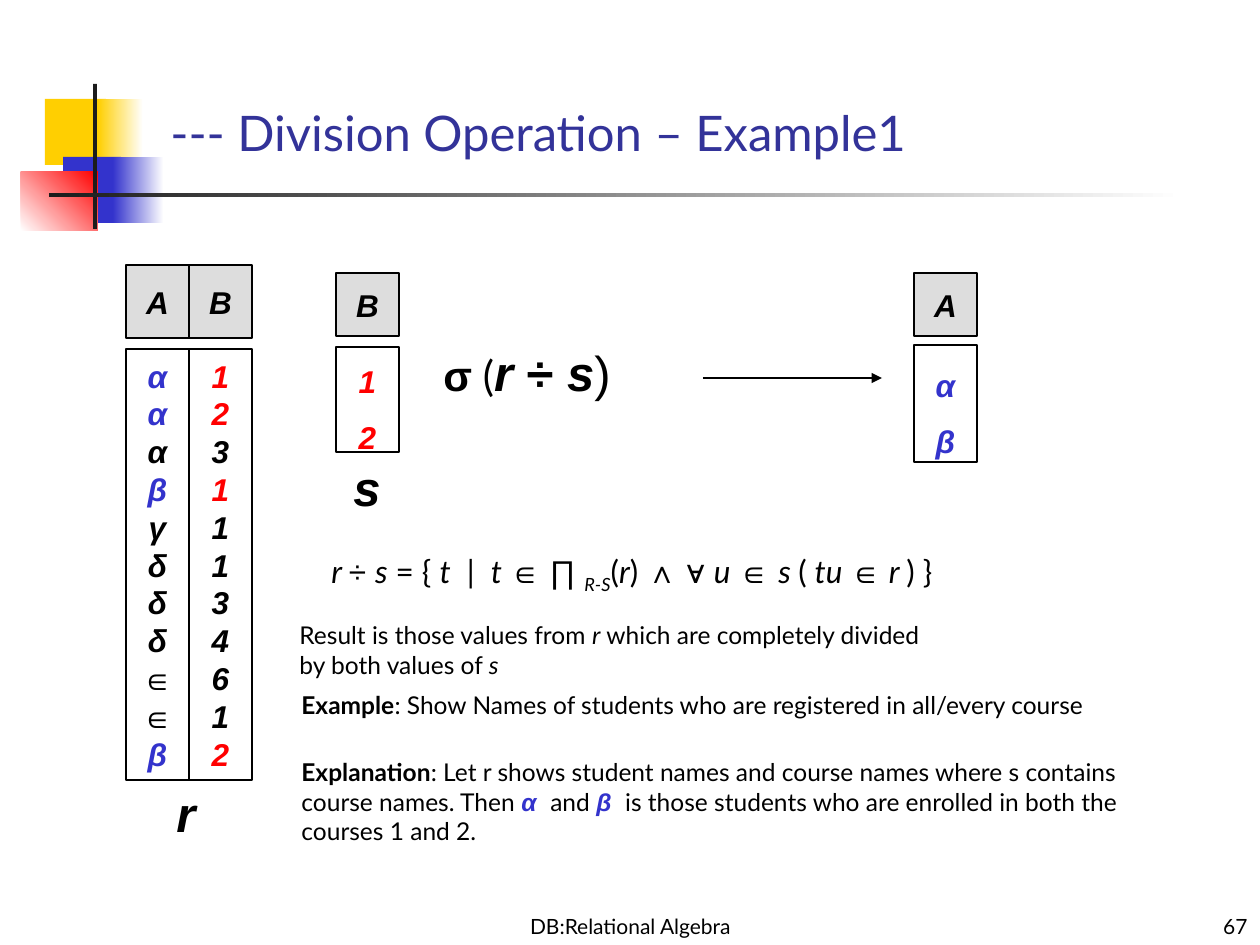
import pptx
import pptx.util
import pptx.dml.color
import pptx.enum.shapes
import pptx.enum.text
import pptx.oxml.ns
import lxml.etree

RGBColor = pptx.dml.color.RGBColor
PP_ALIGN = pptx.enum.text.PP_ALIGN
MSO_ANCHOR = pptx.enum.text.MSO_ANCHOR
qn = pptx.oxml.ns.qn

BLACK = RGBColor(0x00, 0x00, 0x00)
WHITE = RGBColor(0xFF, 0xFF, 0xFF)
CHARCOAL = RGBColor(0x1C, 0x1C, 0x1C)
HEADER_GRAY = RGBColor(0xDD, 0xDD, 0xDD)
YELLOW = RGBColor(0xFF, 0xCF, 0x01)
BLUE = RGBColor(0x33, 0x33, 0xCC)
RED = RGBColor(0xFF, 0x00, 0x00)
TITLE_BLUE = RGBColor(0x33, 0x33, 0x99)

LATO = "Lato"
ARIAL = "Arial"
EMU_PER_PX = 914400 / 126

# Run styles
ITALIC = {"italic": True}
BOLD = {"bold": True}
SYMBOL = {"name": ARIAL}
BOLD_ARIAL = {"name": ARIAL, "bold": True}
VALUE = {"name": ARIAL, "bold": True, "italic": True}
BLUE_VALUE = dict(VALUE, color=BLUE)
RED_VALUE = dict(VALUE, color=RED)


def px(*lengths):
    return [round(n * EMU_PER_PX) for n in lengths]


def add_run(p, text, size, name=LATO, color=BLACK, bold=False, italic=False,
            baseline=None):
    r = p.add_run()
    r.text = text
    r.font.size = pptx.util.Pt(size)
    r.font.name = name
    r.font.color.rgb = color
    r.font.bold = bold
    r.font.italic = italic
    if baseline is not None:
        r.font._element.set("baseline", str(baseline))


def write(tf, paragraphs, size, align=PP_ALIGN.LEFT, anchor=MSO_ANCHOR.TOP,
          wrap=True, spacing=None):
    """Fill a text frame; each paragraph is a list of (text, style) runs."""
    tf.word_wrap = wrap
    tf.vertical_anchor = anchor
    for i, runs in enumerate(paragraphs):
        p = tf.add_paragraph() if i else tf.paragraphs[0]
        p.alignment = align
        if spacing:
            p.line_spacing = spacing
        for text, style in runs:
            add_run(p, text, **{"size": size, **style})


def add_text(s, box, paragraphs, size, grow=False, **options):
    sp = s.shapes.add_textbox(*px(*box))
    write(sp.text_frame, paragraphs, size, **options)
    if grow:
        sp.text_frame.auto_size = pptx.enum.text.MSO_AUTO_SIZE.SHAPE_TO_FIT_TEXT


def add_rect(s, box, color, end_color=None, angle=0):
    """Borderless rectangle, shaded towards end_color when one is given."""
    sp = s.shapes.add_shape(pptx.enum.shapes.MSO_SHAPE.RECTANGLE, *px(*box))
    sp.shadow.inherit = False
    sp.line.fill.background()
    if end_color is None:
        sp.fill.solid()
        sp.fill.fore_color.rgb = color
    else:
        sp.fill.gradient()
        sp.fill.gradient_angle = angle
        for stop, stop_color in zip(sp.fill.gradient_stops, (color, end_color)):
            stop.color.rgb = stop_color
    return sp


def add_cell(s, box, values, fill=WHITE, spacing=None):
    """Bordered relation column holding one value per paragraph."""
    sp = add_rect(s, box, fill)
    sp.line.color.rgb = BLACK
    sp.line.width = pptx.util.Pt(0.75)
    write(sp.text_frame, [[value] for value in values], 18, PP_ALIGN.CENTER,
          MSO_ANCHOR.MIDDLE, wrap=False, spacing=spacing)


def add_column(s, x, head, body, name, values, spacing=None):
    """Header and body of a column; head and body are (top, height)."""
    width = 63
    add_cell(s, (x, head[0], width, head[1]), [(name, VALUE)], HEADER_GRAY)
    add_cell(s, (x, body[0], width, body[1]), values, spacing=spacing)


def add_relation_name(s, box, name):
    add_text(s, box, [[(name, VALUE)]], 28, grow=True, align=PP_ALIGN.CENTER,
             anchor=MSO_ANCHOR.MIDDLE, wrap=False)


def add_arrow(s, x1, y1, x2, y2):
    line = s.shapes.add_connector(pptx.enum.shapes.MSO_CONNECTOR.STRAIGHT,
                                  *px(x1, y1, x2, y2))
    line.line.color.rgb = BLACK
    line.line.width = pptx.util.Pt(0.75)
    ln = line.line._get_or_add_ln()
    lxml.etree.SubElement(ln, qn("a:tailEnd"), type="triangle")
    lxml.etree.SubElement(line._element.spPr, qn("a:effectLst"))


def add_decoration(s):
    add_rect(s, (45, 99, 61, 66), YELLOW)
    add_rect(s, (98, 99, 45, 66), YELLOW, WHITE)
    add_rect(s, (63, 157, 58, 66), BLUE)
    add_rect(s, (113, 157, 51, 66), BLUE, WHITE)
    add_rect(s, (21, 172, 77, 59), WHITE, RED, angle=45)
    add_rect(s, (93, 84, 4, 145), CHARCOAL)
    add_rect(s, (49, 193, 1134, 4), CHARCOAL, WHITE)


def add_relations(s):
    # Relation r: rows that take part in the division are coloured
    r_a = [("α", BLUE_VALUE), ("α", BLUE_VALUE), ("α", VALUE),
           ("β", BLUE_VALUE), ("γ", VALUE), ("δ", VALUE), ("δ", VALUE),
           ("δ", VALUE), ("∈", VALUE), ("∈", VALUE), ("β", BLUE_VALUE)]
    r_b = [("1", RED_VALUE), ("2", RED_VALUE), ("3", VALUE),
           ("1", RED_VALUE), ("1", VALUE), ("1", VALUE), ("3", VALUE),
           ("4", VALUE), ("6", VALUE), ("1", VALUE), ("2", RED_VALUE)]
    for x, name, values in ((126, "A", r_a), (189, "B", r_b)):
        add_column(s, x, (265, 73), (349, 431), name, values)
    add_relation_name(s, (164, 777, 44, 72), "r")

    # Relation s
    add_column(s, 336, (273, 63), (347, 105), "B",
               [("1", RED_VALUE), ("2", RED_VALUE)], spacing=1.5)
    add_relation_name(s, (341, 451, 52, 72), "s")

    # Quotient
    add_column(s, 914, (273, 63), (345, 117), "A",
               [("α", BLUE_VALUE), ("β", BLUE_VALUE)], spacing=1.5)


def add_formulas(s):
    add_text(s, (431, 336, 242, 73), [[
        ("σ", dict(BOLD_ARIAL, size=24)), (" (", {"size": 24}),
        ("r ", VALUE), ("÷ ", BOLD_ARIAL), ("s", VALUE), (")", SYMBOL)]], 28)
    add_arrow(s, 703, 378, 882, 378)
    add_text(s, (319, 546, 878, 55), [[
        ("r ", ITALIC), ("÷ ", SYMBOL), ("s", ITALIC), (" = { ", {}),
        ("t", ITALIC), ("  |  ", {}), ("t ", ITALIC), ("∈ ∏ ", SYMBOL),
        ("R-S", dict(ITALIC, baseline=-25000)), ("(", {}), ("r", ITALIC),
        (") ", {}), ("∧ ∀ ", SYMBOL), ("u ", ITALIC), ("∈ ", SYMBOL),
        ("s ", ITALIC), ("( ", {}), ("tu ", ITALIC), ("∈", SYMBOL),
        (" r ", ITALIC), (") }", {})]], 18, grow=True)


def add_notes_on_result(s):
    add_text(s, (287, 614, 948, 72), [
        [("Result is those values from ", {}), ("r", ITALIC),
         (" which are completely divided", {})],
        [("by both values of ", {}), ("s", ITALIC)]], 14, grow=True)
    add_text(s, (289, 751, 887, 160), [
        [("Explanation", BOLD),
         (": Let r shows student names and course names where s contains", {})],
        [("course names. Then ", {}), ("α  ", BLUE_VALUE), ("and ", {}),
         ("β  ", BLUE_VALUE),
         ("is those students who are enrolled in both the", {})],
        [("courses 1 and 2.", {})]], 14, grow=True)
    add_text(s, (289, 684, 808, 72), [
        [("Example", BOLD),
         (": Show Names of students who are registered in all/every course",
          {})]], 14, grow=True)


def main():
    prs = pptx.Presentation()
    prs.slide_width, prs.slide_height = px(1260, 945)
    s = prs.slides.add_slide(prs.slide_layouts[6])

    add_decoration(s)

    # Footer, page number and title
    add_text(s, (431, 892, 399, 53), [[("DB:Relational Algebra", {})]], 12,
             align=PP_ALIGN.CENTER, anchor=MSO_ANCHOR.BOTTOM)
    add_text(s, (998, 892, 262, 53), [[("67", {})]], 12,
             align=PP_ALIGN.RIGHT, anchor=MSO_ANCHOR.BOTTOM)
    add_text(s, (158, 84, 1074, 84),
             [[("--- Division Operation – Example1", {"color": TITLE_BLUE})]],
             28, anchor=MSO_ANCHOR.BOTTOM)

    add_relations(s)
    add_formulas(s)
    add_notes_on_result(s)
    prs.save("out.pptx")


if __name__ == "__main__":
    main()
